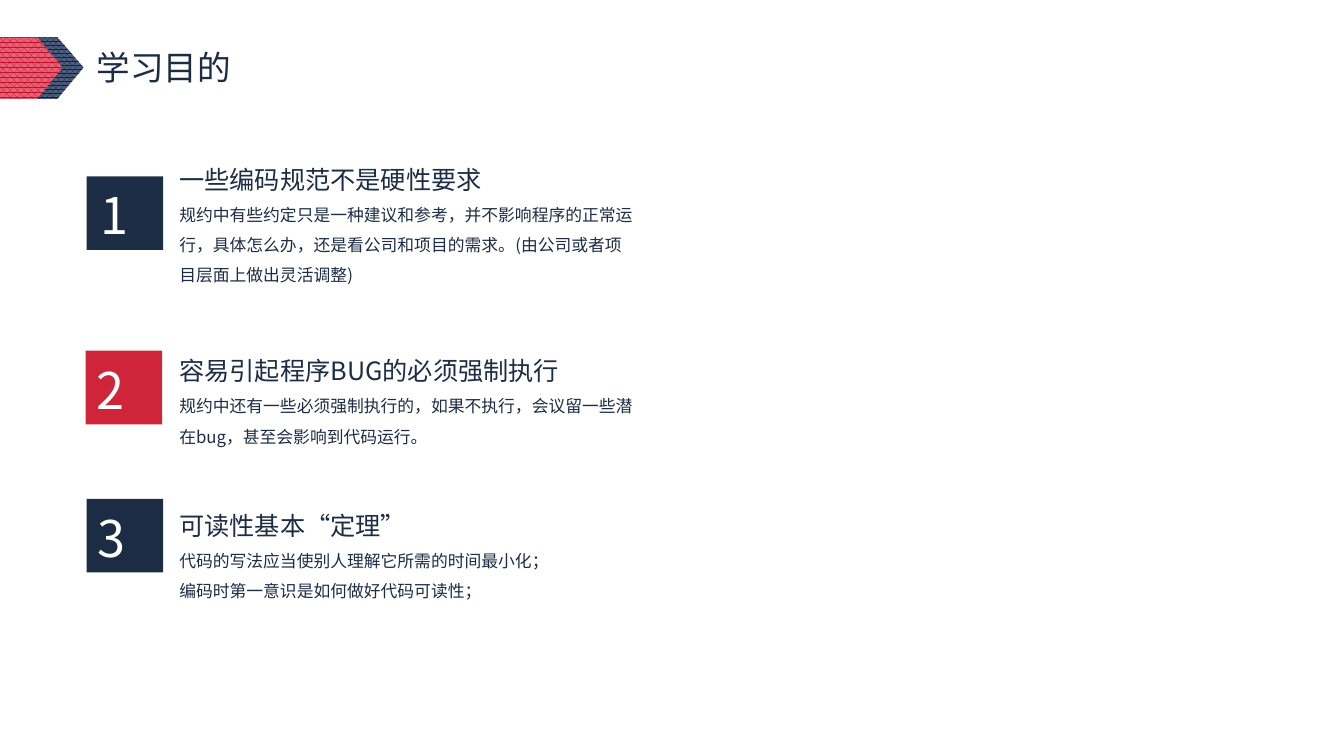
from lxml import etree
from pptx import Presentation
from pptx.dml.color import RGBColor
from pptx.enum.dml import MSO_PATTERN as Pattern
from pptx.enum.shapes import MSO_SHAPE as Shape
from pptx.enum.text import MSO_AUTO_SIZE as AutoSize
from pptx.oxml.ns import qn
from pptx.util import Inches, Pt

FONT = "Noto Sans CJK SC"
WHITE = RGBColor(0xFF, 0xFF, 0xFF)
TITLE_NAVY = RGBColor(0x1C, 0x2C, 0x44)
NAVY = RGBColor(0x1D, 0x2D, 0x46)
RED = RGBColor(0xCF, 0x25, 0x3B)
DARK_NAVY = RGBColor(0x13, 0x23, 0x3B)
SLATE = RGBColor(0x50, 0x60, 0x81)
CRIMSON = RGBColor(0xC6, 0x10, 0x27)
PINK = RGBColor(0xE7, 0x62, 0x78)

presentation = Presentation()
presentation.slide_width = Inches(13.33)
presentation.slide_height = Inches(7.5)
slide = presentation.slides.add_slide(presentation.slide_layouts[6])
shapes = slide.shapes


def add_text(left, top, width, height, lines, color, wrap=True, spacing=None):
    frame = shapes.add_textbox(*map(Inches, (left, top, width, height))).text_frame
    frame.word_wrap = wrap
    frame.auto_size = AutoSize.SHAPE_TO_FIT_TEXT
    for index, (wording, size) in enumerate(lines):
        paragraph = frame.add_paragraph() if index else frame.paragraphs[0]
        if spacing:
            paragraph.line_spacing = spacing
        run = paragraph.add_run()
        run.text = wording
        for attribute, value in {"name": FONT, "size": Pt(size)}.items():
            setattr(run.font, attribute, value)
        run.font.color.rgb = color
        etree.SubElement(run.font._element, qn("a:ea"), typeface=FONT)


arrows = [
    (0.57, 0.83, Pattern.PERCENT_75, DARK_NAVY, SLATE),
    (0.37, 0.62, Pattern.PERCENT_70, CRIMSON, PINK),
]
for shoulder, tip, pattern, front, back in arrows:
    outline = shapes.build_freeform(0, Inches(0.37))
    corners = [(shoulder, 0.37), (tip, 0.67), (shoulder, 0.98), (0, 0.98)]
    outline.add_line_segments([(Inches(x), Inches(y)) for x, y in corners], close=True)
    arrow = outline.convert_to_shape()
    arrow.shadow.inherit = False
    arrow.line.fill.background()
    arrow.fill.patterned()
    arrow.fill.pattern = pattern
    arrow.fill.fore_color.rgb = front
    arrow.fill.back_color.rgb = back

add_text(0.86, 0.42, 1.55, 0.5, [("学习目的", 24)], TITLE_NAVY, wrap=False)

goals = [
    (0.86, 1.75, NAVY, 0.9, 1.43, 1.46, "一些编码规范不是硬性要求", [
        "规约中有些约定只是一种建议和参考，并不影响程序的正常运行，"
        "具体怎么办，还是看公司和项目的需求。(由公司或者项目层面上做出灵活调整)",
    ]),
    (0.85, 3.48, RED, 0.86, 3.33, 1.16, "容易引起程序BUG的必须强制执行", [
        "规约中还有一些必须强制执行的，如果不执行，会议留一些潜在bug，甚至会影响到代码运行。",
    ]),
    (0.86, 4.95, TITLE_NAVY, 0.87, 4.86, 1.16, "可读性基本“定理”", [
        "代码的写法应当使别人理解它所需的时间最小化；",
        "编码时第一意识是如何做好代码可读性；",
    ]),
]
for number, goal in enumerate(goals, start=1):
    left, top, color, number_left, text_top, text_height, heading, details = goal
    tile = shapes.add_shape(Shape.RECTANGLE, *map(Inches, (left, top, 0.76, 0.73)))
    tile.shadow.inherit = False
    tile.fill.solid()
    tile.fill.fore_color.rgb = color
    tile.line.fill.background()
    add_text(number_left, top + 0.03, 0.75, 0.71, [(str(number), 36)], WHITE)
    lines = [(heading, 18)] + [(detail, 12) for detail in details]
    add_text(1.68, text_top, 4.7, text_height, lines, NAVY, spacing=1.5)

presentation.save("out.pptx")
